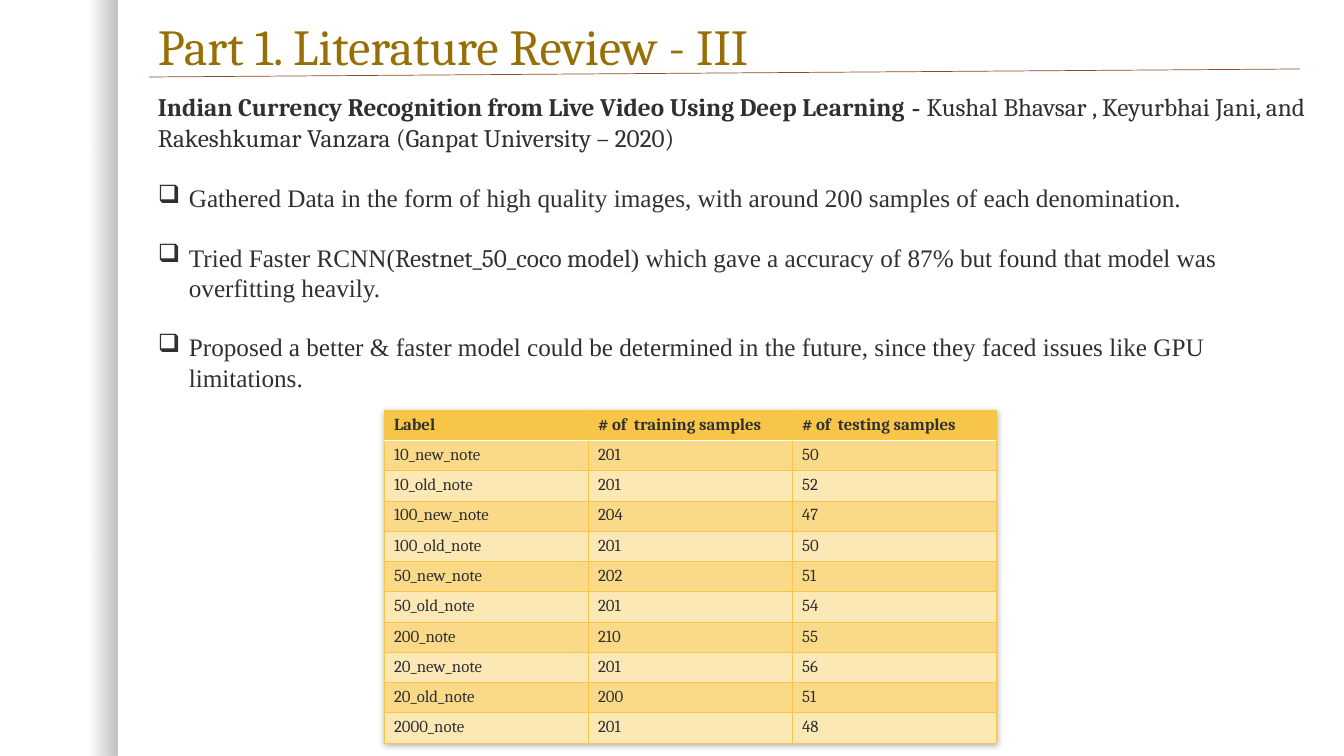
import pptx
import pptx.dml.color
import pptx.enum.shapes
import pptx.enum.text
import pptx.oxml
import pptx.oxml.ns
import pptx.util
from lxml import etree

PX_PER_INCH = 100.8
COLOURS = {
    "title": "986F07",
    "text": "303030",
    "rule": "894A27",
    "gold": "F7C547",
    "band_dark": "FADA89",
    "band_light": "FCE8B5",
    "white": "FFFFFF",
    "black": "000000",
}
SERIF, TIMES = "Cambria", "Times New Roman"

CITATION = [
    ("Indian Currency Recognition from Live Video Using Deep Learning", dict(bold=True)),
    (" ", dict(size=20, font=TIMES, bold=True)),
    ("- ", dict(font=TIMES, bold=True)),
    ("Kushal Bhavsar , Keyurbhai Jani, and Rakeshkumar Vanzara "
     "(Ganpat University – 2020)", {}),
]
FINDINGS = [
    [("Gathered Data in the form of high quality images, with around 200 samples "
      "of each denomination.", dict(font=TIMES))],
    [("Tried Faster RCNN(", dict(font=TIMES)),
     ("Restnet_50_coco model", {}),
     (") which gave a accuracy of 87% but found that model was overfitting heavily.",
      dict(font=TIMES))],
    [("Proposed a better & faster model could be determined in the future, since they "
      "faced issues like GPU limitations.", dict(font=TIMES))],
]
SAMPLES = [
    ("Label", "# of  training samples", "# of  testing samples"),
    ("10_new_note", 201, 50),
    ("10_old_note", 201, 52),
    ("100_new_note", 204, 47),
    ("100_old_note", 201, 50),
    ("50_new_note", 202, 51),
    ("50_old_note", 201, 54),
    ("200_note", 210, 55),
    ("20_new_note", 201, 56),
    ("20_old_note", 200, 51),
    ("2000_note", 201, 48),
]


def px(length):
    return pptx.util.Inches(length / PX_PER_INCH)


def rgb(name):
    return pptx.dml.color.RGBColor.from_string(COLOURS[name])


def add_xml(parent, tag, **attributes):
    return etree.SubElement(parent, pptx.oxml.ns.qn(tag), attributes)


def add_text(paragraph, text, size=18, font=SERIF, colour="text", bold=False):
    run = paragraph.add_run()
    run.text = text
    run.font.size = pptx.util.Pt(size)
    run.font.name = font
    run.font.bold = bold
    run.font.color.rgb = rgb(colour)


def add_text_frame(slide, left, top, width, height, anchor):
    frame = slide.shapes.add_textbox(px(left), px(top), px(width), px(height)).text_frame
    frame.word_wrap = True
    frame.vertical_anchor = anchor
    return frame


def add_edge_shade(slide):
    shade = slide.shapes.add_shape(
        pptx.enum.shapes.MSO_SHAPE.RECTANGLE, 0, 0, px(117), px(756))
    shade.shadow.inherit = False
    shade.line.fill.background()
    shade.fill.gradient()
    shade.fill.gradient_angle = 0
    for stop, position, alpha in zip(shade.fill.gradient_stops, (0.75, 1), (0, 25000)):
        stop.position = position
        stop.color.rgb = rgb("black")
    for colour in shade.fill._xPr.iter(pptx.oxml.ns.qn("a:srgbClr")):
        first = colour.getparent().get("pos") == "75000"
        add_xml(colour, "a:alpha", val="0" if first else "25000")


def add_rule(slide, x1, y1, x2, y2):
    rule = slide.shapes.add_connector(
        pptx.enum.shapes.MSO_CONNECTOR.STRAIGHT, px(x1), px(y1), px(x2), px(y2))
    rule.line.color.rgb = rgb("rule")
    rule.line.width = pptx.util.Pt(0.5)
    add_xml(rule._element.spPr, "a:effectLst")


def add_bullet(paragraph):
    properties = paragraph._p.get_or_add_pPr()
    properties.set("marL", str(px(31)))
    properties.set("indent", str(-px(31)))
    add_xml(properties, "a:buChar", char="❑")


def add_review(slide):
    frame = add_text_frame(slide, 148, 84, 1186, 380, pptx.enum.text.MSO_ANCHOR.TOP)
    for index, parts in enumerate([CITATION] + FINDINGS):
        paragraph = frame.paragraphs[0]
        if index:
            paragraph = frame.add_paragraph()
            add_bullet(paragraph)
            paragraph.space_before = pptx.util.Pt(21)
        for text, style in parts:
            add_text(paragraph, text, **style)


def set_border(cell, side, colour, width):
    border = add_xml(cell._tc.get_or_add_tcPr(), "a:ln" + side,
                     w=str(pptx.util.Pt(width)))
    add_xml(add_xml(border, "a:solidFill"), "a:srgbClr", val=COLOURS[colour])


def fill_cell(cell, row, value):
    # White separator between header and body, gold lines elsewhere
    for side in "LRTB":
        separator = (row, side) in ((0, "B"), (1, "T"))
        set_border(cell, side, *(("white", 1) if separator else ("gold", 0.5)))
    cell.fill.solid()
    band = "band_dark" if row % 2 else "band_light"
    cell.fill.fore_color.rgb = rgb("gold" if row == 0 else band)
    add_text(cell.text_frame.paragraphs[0], str(value), size=12, bold=row == 0)


def add_sample_table(slide):
    samples = slide.shapes.add_table(
        len(SAMPLES), 3, px(384), px(410), px(612), px(30 * len(SAMPLES))).table
    for row, values in enumerate(SAMPLES):
        samples.rows[row].height = px(30)
        for column, value in enumerate(values):
            fill_cell(samples.cell(row, column), row, value)
    # Soft shadow around the table
    effects = pptx.oxml.parse_xml(
        '<a:effectLst %s><a:outerShdw blurRad="50800" dist="12700" dir="5400000">'
        '<a:srgbClr val="%s"><a:alpha val="30000"/></a:srgbClr>'
        '</a:outerShdw></a:effectLst>'
        % (pptx.oxml.ns.nsdecls("a"), COLOURS["black"]))
    samples._tbl.tblPr.insert(0, effects)


def main():
    deck = pptx.Presentation()
    deck.slide_width, deck.slide_height = px(1344), px(756)
    slide = deck.slides.add_slide(deck.slide_layouts[6])

    # Left edge and heading
    add_edge_shade(slide)
    title = add_text_frame(slide, 148, 13, 1084, 72, pptx.enum.text.MSO_ANCHOR.MIDDLE)
    title.paragraphs[0].line_spacing = 0.9
    add_text(title.paragraphs[0], "Part 1. Literature Review - III",
             size=36, colour="title")

    # Paper, findings and sample counts
    add_review(slide)
    add_rule(slide, 149, 77, 1300, 69)
    add_sample_table(slide)

    deck.save("out.pptx")


if __name__ == "__main__":
    main()
